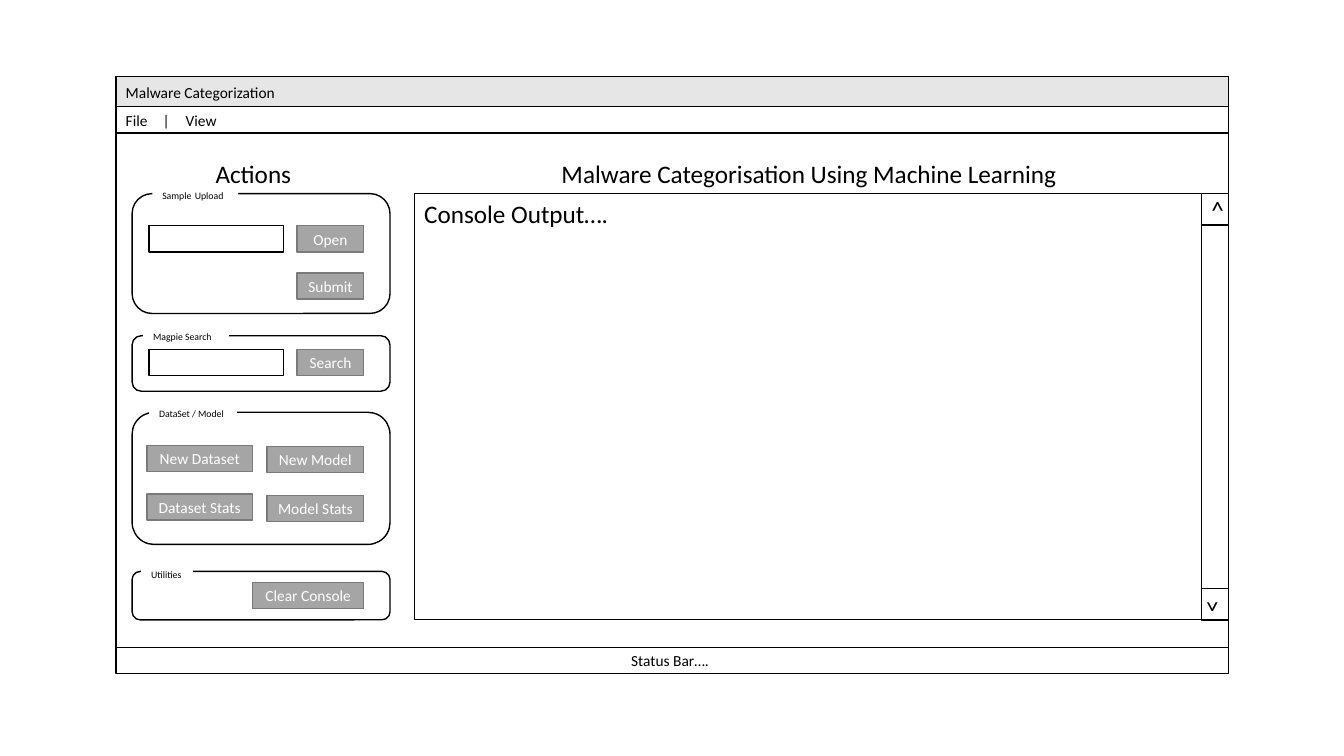
from lxml import etree
from pptx import Presentation
from pptx.dml.color import RGBColor
from pptx.enum.shapes import MSO_SHAPE as SHAPE
from pptx.enum.text import MSO_ANCHOR as ANCHOR, MSO_AUTO_SIZE as AUTO, PP_ALIGN as ALIGN
from pptx.oxml.ns import qn
from pptx.util import Cm, Pt

COLORS = {"black": "000000", "white": "FFFFFF", "bar": "E7E6E6",
          "button": "A5A5A5", "edge": "7A7A7A"}

prs = Presentation()
prs.slide_width, prs.slide_height = Cm(33.87), Cm(19.05)
s = prs.slides.add_slide(prs.slide_layouts[5])


def write(sp, text, size=11, color="black", align=ALIGN.LEFT, anchor=ANCHOR.TOP):
    tf = sp.text_frame
    tf.word_wrap, tf.auto_size, tf.vertical_anchor = True, AUTO.NONE, anchor
    p = tf.paragraphs[0]
    p.text, p.alignment = text, align
    for r in p.runs:
        r.font.size, r.font.name = Pt(size), "Calibri"
        r.font.color.rgb = RGBColor.from_string(COLORS[color])
    return p


def box(x, y, w, h, fill="white", line="black", kind=SHAPE.RECTANGLE):
    sp = s.shapes.add_shape(kind, Cm(x), Cm(y), Cm(w), Cm(h))
    sp.shadow.inherit = False
    sp.fill.solid()
    sp.fill.fore_color.rgb = RGBColor.from_string(COLORS[fill])
    if line:
        sp.line.color.rgb = RGBColor.from_string(COLORS[line])
        sp.line.width = Pt(1)
    else:
        sp.line.fill.background()
    return sp


# Window frame with title, menu and status bars
LEFT, WIDTH = 2.92, 28.04
frame = box(LEFT, 2.57, WIDTH, 14.38)
for y, h, fill in [(1.93, 0.79, "bar"), (2.69, 0.66, "white"), (16.31, 0.66, "white")]:
    box(LEFT, y, WIDTH, h, fill)

# Main heading, raised above the window frame
title = s.shapes.title
title.left, title.top, title.width, title.height = Cm(9.83), Cm(3.86), Cm(21.11), Cm(1.02)
write(title, "Malware Categorisation Using Machine Learning", 18, align=ALIGN.CENTER)
frame.element.addnext(title.element)

# Action groups: outline top and height, then caption place and text
groups = [
    (4.88, 3.02, 3.84, 4.52, 2.16, 0.74, "Sample Upload"),
    (8.46, 1.40, 3.61, 8.20, 2.16, 0.56, "Magpie Search"),
    (10.39, 3.33, 3.76, 10.16, 2.21, 0.56, "DataSet / Model"),
    (14.40, 1.22, 3.56, 14.20, 1.30, 0.56, "Utilities"),
]
for top, height, x, y, w, h, text in groups:
    box(3.33, top, 6.5, height, kind=SHAPE.ROUNDED_RECTANGLE)
    p = write(box(x, y, w, h, line=None), text, 7)
    if text == "Sample Upload":  # its word space is set larger
        p.runs[0].text = "Sample"
        for part, size in [(" ", 11), ("Upload", 7)]:
            r = p.add_run()
            r.text, r.font.size, r.font.name = part, Pt(size), "Calibri"
            r.font.color.rgb = RGBColor.from_string(COLORS["black"])

# Labels on the bars and over the actions panel, in front of the captions
labels = [
    (LEFT, 1.98, 5.41, 0.74, "Malware Categorization", 11, ALIGN.LEFT),
    (LEFT, 2.67, 3.99, 0.74, "File\t|\tView", 11, ALIGN.LEFT),
    (LEFT, 3.86, 6.93, 1.02, "Actions", 18, ALIGN.CENTER),
    (2.84, 16.28, 28.09, 0.74, "Status Bar….", 11, ALIGN.CENTER),
]
for x, y, w, h, text, size, align in labels:
    p = write(s.shapes.add_textbox(Cm(x), Cm(y), Cm(w), Cm(h)), text, size, align=align)
    if "\t" in text:  # menu entries sit on tab stops
        tabs = etree.SubElement(p._p.get_or_add_pPr(), qn("a:tabLst"))
        for pos in (0.93, 1.51):
            etree.SubElement(tabs, qn("a:tab"), pos=str(Cm(pos)), algn="l")

# Buttons and input fields
ROW = 0.66
buttons = [
    (7.49, 5.69, 1.68, "Open"), (7.49, 6.88, 1.68, "Submit"),
    (7.49, 8.81, 1.68, "Search"),
    (3.71, 11.23, 2.65, "New Dataset"), (6.73, 11.25, 2.44, "New Model"),
    (3.71, 12.45, 2.65, "Dataset Stats"), (6.73, 12.49, 2.44, "Model Stats"),
    (6.37, 14.68, 2.80, "Clear Console"),
]
for x, y, w, text in buttons:
    write(box(x, y, w, ROW, "button", "edge"), text, 11, "white", ALIGN.CENTER, ANCHOR.MIDDLE)
for y in (5.69, 8.81):
    box(3.76, y, 3.38, ROW)

# Console with its scroll bar
TOP, HEIGHT, BAR_X, BAR_W, ARROW_H = 4.88, 10.74, 30.28, 0.68, 0.79
write(box(10.44, TOP, 20.5, HEIGHT), "Console Output….", 18)
box(BAR_X, TOP, BAR_W, HEIGHT)
for y, angle in [(TOP, 0), (TOP + HEIGHT - ARROW_H, 180)]:
    arrow = box(BAR_X, y, BAR_W, ARROW_H)
    arrow.rotation = angle
    write(arrow, "^", 18, align=ALIGN.CENTER, anchor=ANCHOR.MIDDLE)

prs.save("out.pptx")
